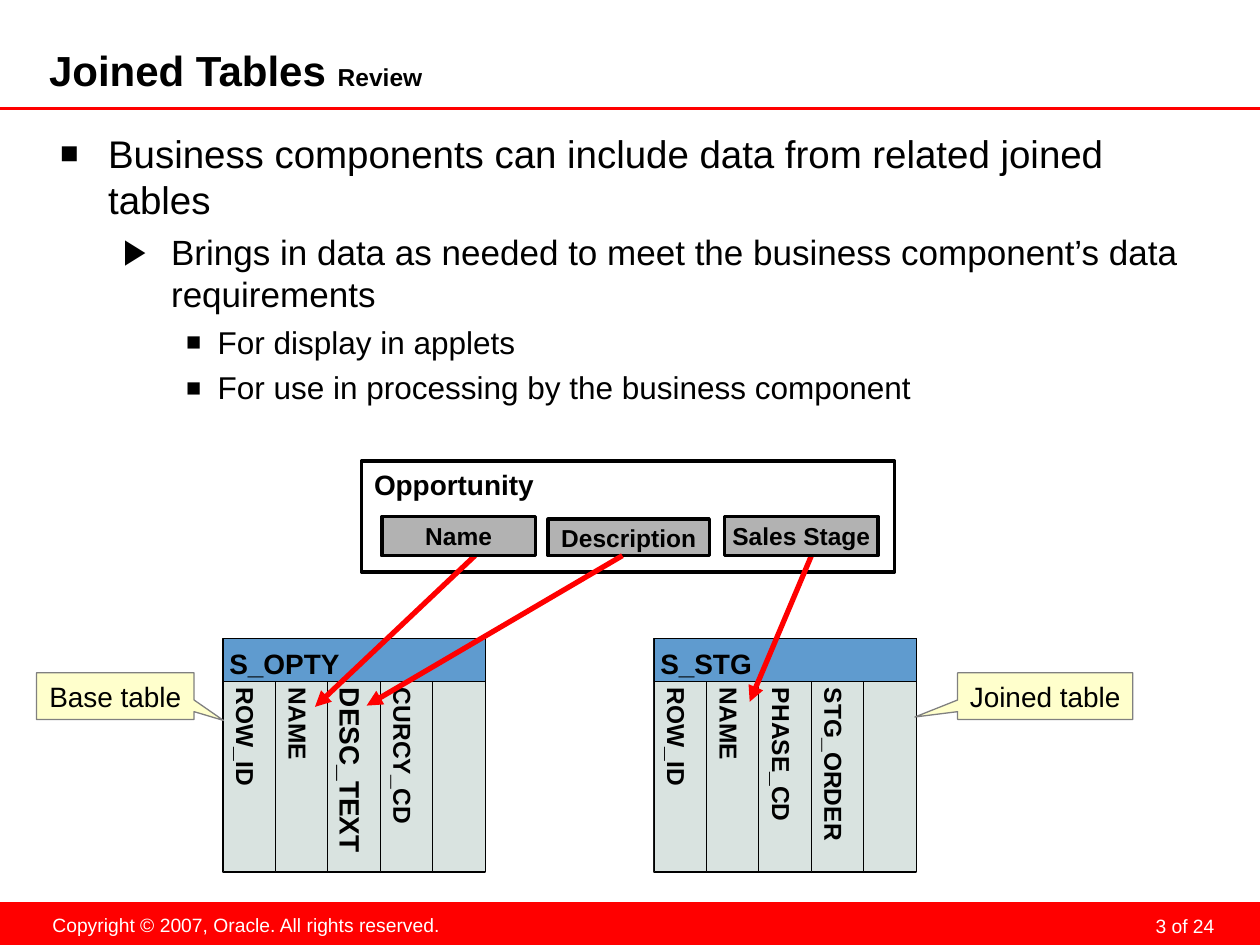
from lxml.etree import SubElement
from pptx import Presentation
from pptx.dml.color import RGBColor
from pptx.enum.shapes import MSO_CONNECTOR, MSO_SHAPE
from pptx.enum.text import MSO_ANCHOR, PP_ALIGN
from pptx.oxml.ns import qn
from pptx.util import Inches, Pt

FONT = "Arial"
BLACK = RGBColor(0x00, 0x00, 0x00)
WHITE = RGBColor(0xFF, 0xFF, 0xFF)
RED = RGBColor(0xFF, 0x00, 0x00)
BLUE = RGBColor(0x5F, 0x9B, 0xCF)
PALE_GREEN = RGBColor(0xD9, 0xE3, 0xE0)
YELLOW = RGBColor(0xFF, 0xFF, 0xCC)
GRAY = RGBColor(0x80, 0x80, 0x80)
LIGHT_GRAY = RGBColor(0xB2, 0xB2, 0xB2)

PADDING = (0.1, 0.05, 0.1, 0.05)
CELL_PADDING = (0.05, 0.1, 0.05, 0.05)

BULLETS = [
    (0, "Business components can include data from related joined tables"),
    (1, "Brings in data as needed to meet the business component’s data requirements"),
    (2, "For display in applets"),
    (2, "For use in processing by the business component"),
]
LEVELS = [
    (0.38, 0.38, "■", 80, 22, 5.5),
    (0.88, 0.38, "▶", 100, 20, 5),
    (1.25, 0.25, "■", 80, 18, 4.5),
]
TABLES = [
    (1.77, "S_OPTY", [("ROW_ID", 14), ("NAME", 14), ("DESC_TEXT", 16), ("CURCY_CD", 14), ("", 14)]),
    (5.19, "S_STG", [("ROW_ID", 14), ("NAME", 14), ("PHASE_CD", 14), ("STG_ORDER", 14), ("", 14)]),
]
FIELDS = [
    (3.03, 4.1, 1.22, 0.31, "Name"),
    (5.75, 4.1, 1.22, 0.31, "Sales Stage"),
    (4.35, 4.12, 1.28, 0.29, "Description"),
]
CALLOUTS = [
    (0.29, 1.25, "Base table", (0.687, 0.522)),
    (7.6, 1.39, "Joined table", (-0.744, 0.448)),
]


class SlideBuilder:
    """Holds the style and the current slide, and adds its elements."""

    def __init__(self, s):
        self.s = s

    def frame(self, sp, padding, anchor, wrap):
        tf = sp.text_frame
        tf.margin_left, tf.margin_top, tf.margin_right, tf.margin_bottom = map(Inches, padding)
        tf.vertical_anchor = anchor
        tf.word_wrap = wrap
        return tf

    def style(self, font, size, color=BLACK, bold=False):
        font.name = FONT
        font.size = Pt(size)
        font.bold = bold
        font.color.rgb = color

    def text(self, box, runs, color=BLACK, bold=False, align=PP_ALIGN.LEFT,
             padding=PADDING, anchor=MSO_ANCHOR.TOP, wrap=True):
        sp = self.s.shapes.add_textbox(*map(Inches, box))
        p = self.frame(sp, padding, anchor, wrap).paragraphs[0]
        p.alignment = align
        for words, size in runs:
            r = p.add_run()
            r.text = words
            self.style(r.font, size, color, bold)
        return p

    def shape(self, box, fill=None, line=None, width=0.5, words="", size=14, bold=True,
              align=PP_ALIGN.CENTER, padding=PADDING, kind=MSO_SHAPE.RECTANGLE):
        sp = self.s.shapes.add_shape(kind, *map(Inches, box))
        sp.shadow.inherit = False
        if fill is None:
            sp.fill.background()
        else:
            sp.fill.solid()
            sp.fill.fore_color.rgb = fill
        if line is None:
            sp.line.fill.background()
        else:
            sp.line.color.rgb = line
            sp.line.width = Pt(width)
        if words:
            tf = self.frame(sp, padding, MSO_ANCHOR.MIDDLE, False)
            tf.text = words
            p = tf.paragraphs[0]
            p.alignment = align
            self.style(p.runs[0].font, size, BLACK, bold)
        return sp

    def line(self, start, end, width, arrow=False):
        c = self.s.shapes.add_connector(MSO_CONNECTOR.STRAIGHT, *map(Inches, start + end))
        c.line.color.rgb = RED
        c.line.width = Pt(width)
        if arrow:
            SubElement(c.line._get_or_add_ln(), qn("a:tailEnd"), type="triangle")
        SubElement(c._element.spPr, qn("a:effectLst"))

    def bullets(self, box, items):
        sp = self.s.shapes.add_textbox(*map(Inches, box))
        tf = self.frame(sp, (0.1, 0.1, 0.1, 0.05), MSO_ANCHOR.TOP, True)
        tf.text = "\n".join(words for _, words in items)
        for i, (p, (level, _)) in enumerate(zip(tf.paragraphs, items)):
            margin, hanging, char, percent, size, before = LEVELS[level]
            p.level = level
            if i:
                p.space_before = Pt(before)
            pPr = p._p.get_or_add_pPr()
            pPr.set("marL", str(Inches(margin)))
            pPr.set("indent", str(-Inches(hanging)))
            color = SubElement(pPr, qn("a:buClr"))
            SubElement(color, qn("a:srgbClr"), val=str(BLACK))
            SubElement(pPr, qn("a:buSzPct"), val=str(percent * 1000))
            SubElement(pPr, qn("a:buFont"), typeface=FONT)
            SubElement(pPr, qn("a:buChar"), char=char)
            self.style(p.runs[0].font, size)

    def database_table(self, left, name, columns):
        top, width, height, header = 5.07, 2.08, 1.85, 0.34
        step, length = width / len(columns), height - header
        middle = top + header + length / 2
        self.shape((left, top, width, height), PALE_GREEN, BLACK, 0.75)
        self.shape((left, top, width, header), BLUE, BLACK, words=name, size=16,
                   align=PP_ALIGN.LEFT, padding=CELL_PADDING)
        for i, (column, size) in enumerate(columns):
            center = left + step * (i + 0.5)
            box = (center - length / 2, middle - step / 2, length, step)
            sp = self.shape(box, PALE_GREEN, BLACK, words=column, size=size,
                            align=PP_ALIGN.LEFT, padding=CELL_PADDING)
            sp.rotation = 90

    def callout(self, left, width, words, tip):
        sp = self.shape((left, 5.34, width, 0.37), YELLOW, GRAY, 0.75, words, 16, False,
                        kind=MSO_SHAPE.RECTANGULAR_CALLOUT)
        sp.adjustments[0], sp.adjustments[1] = tip


def main():
    prs = Presentation()
    prs.slide_width, prs.slide_height = Inches(10), Inches(7.5)
    s = SlideBuilder(prs.slides.add_slide(prs.slide_layouts[6]))

    s.shape((0, 7.16, 10, 0.34), RED)
    page = s.text((7.36, 7.19, 2.33, 0.25), [("3 of 24", 11)], WHITE,
                  align=PP_ALIGN.RIGHT, padding=(0.05, 0, 0.05, 0))
    page.line_spacing = Pt(18)
    s.text((0.31, 7.2, 3.29, 0.29), [("Copyright © 2007, Oracle. All rights reserved.", 11)],
           WHITE, align=PP_ALIGN.CENTER, wrap=False)
    s.line((0, 0.86), (10, 0.86), 1.75)
    s.text((0.39, 0.38, 7.87, 0.4), [("Joined Tables ", 24), ("Review", 14)], bold=True,
           padding=(0, 0, 0.05, 0.05), anchor=MSO_ANCHOR.MIDDLE)
    s.bullets((0.38, 0.93, 9.3, 6.18), BULLETS)

    for table in TABLES:
        s.database_table(*table)

    s.shape((2.87, 3.66, 4.23, 0.88), line=BLACK, width=2)
    s.text((2.87, 3.66, 1.49, 0.37), [("Opportunity", 16)], bold=True)
    s.line((6.44, 4.41), (5.95, 5.57), 3, arrow=True)
    s.line((3.77, 4.41), (2.5, 5.61), 3, arrow=True)
    for callout in CALLOUTS:
        s.callout(*callout)
    for *box, words in FIELDS:
        s.shape(box, LIGHT_GRAY, BLACK, 2, words)
    s.line((4.94, 4.41), (2.91, 5.6), 3, arrow=True)

    prs.save("out.pptx")


if __name__ == "__main__":
    main()
